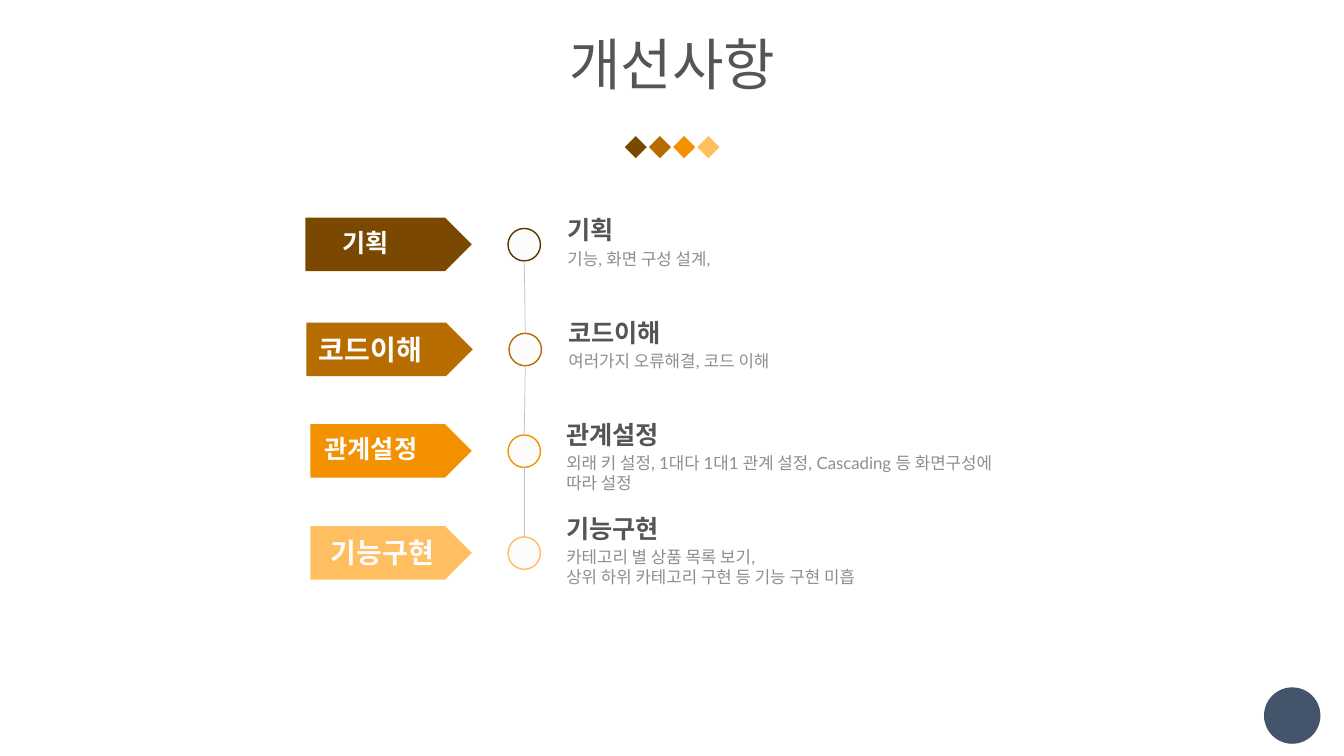
from dataclasses import dataclass

from pptx import Presentation
from pptx.dml.color import RGBColor
from pptx.enum.shapes import MSO_CONNECTOR, MSO_SHAPE
from pptx.enum.text import MSO_ANCHOR, PP_ALIGN
from pptx.oxml.ns import qn
from pptx.util import Pt

CENTER, LEFT = PP_ALIGN.CENTER, PP_ALIGN.LEFT
MIDDLE = MSO_ANCHOR.MIDDLE
OVAL, DIAMOND, PENTAGON = MSO_SHAPE.OVAL, MSO_SHAPE.DIAMOND, MSO_SHAPE.PENTAGON
STRAIGHT = MSO_CONNECTOR.STRAIGHT

FONT = "Lato"
DARK, GRAY, PALE, RULE, NAVY = "555555", "8E8E8E", "FCFCFC", "BFBFBF", "44546A"
SHADES = ["7A4800", "B76C00", "F49100", "FFBE5F"]
RING = 23.2


@dataclass
class Step:
    name: str
    details: list
    fill: str
    outline: str
    arrow: tuple
    label: tuple
    ring_left: float
    heading: tuple

    @property
    def ring_top(self):
        return self.arrow[1] + 7.7


STEPS = [
    Step("기획", ["기능, 화면 구성 설계,"], SHADES[0], "5A3500",
         (218.2, 155.5, 118.8), (215.3, 92.2, 18), 362.9, (398.2, 149.8)),
    Step("코드이해", ["여러가지 오류해결, 코드 이해"], SHADES[1], SHADES[1],
         (218.9, 230.4, 118.8), (193, 143.3, 20), 363.6, (398.9, 223.2)),
    Step("관계설정", ["외래 키 설정, 1대다 1대1 관계 설정, Cascading 등 화면구성에 따라 설정"],
         SHADES[2], SHADES[2],
         (221.8, 303, 115.2), (218.9, 92.2, 18), 362.9, (397.4, 295.9)),
    Step("기능구현", ["카테고리 별 상품 목록 보기,", "상위 하위 카테고리 구현 등 기능 구현 미흡"],
         SHADES[3], SHADES[3],
         (221.8, 375.8, 115.2), (219.6, 107.3, 20), 362.9, (397.4, 362.9)),
]


def color(value):
    return RGBColor.from_string(value)


class Canvas:
    """Holds the slide and draws styled elements measured in points."""

    def __init__(self, slide):
        self.slide = slide

    def fill_text(self, frame, lines, size, ink, bold=False, align=LEFT):
        frame.word_wrap = True
        frame.text = "\n".join(lines)
        for paragraph in frame.paragraphs:
            paragraph.alignment = align
            font = paragraph.font
            font.name, font.size, font.bold = FONT, Pt(size), bold
            font.color.rgb = color(ink)

    def title(self, text, left, top, width, height):
        title = self.slide.shapes.title
        title.left, title.top = Pt(left), Pt(top)
        title.width, title.height = Pt(width), Pt(height)
        title.text_frame.vertical_anchor = MIDDLE
        self.fill_text(title.text_frame, [text], 40, DARK, align=CENTER)
        title.text_frame.paragraphs[0].line_spacing = 0.9

    def text(self, lines, left, top, width, height, size, ink, bold=False, align=LEFT):
        box = self.slide.shapes.add_textbox(Pt(left), Pt(top), Pt(width), Pt(height))
        self.fill_text(box.text_frame, lines, size, ink, bold, align)

    def shape(self, kind, left, top, width, height, fill, outline=None):
        shape = self.slide.shapes.add_shape(kind, Pt(left), Pt(top), Pt(width), Pt(height))
        shape.shadow.inherit = False
        shape.fill.solid()
        shape.fill.fore_color.rgb = color(fill)
        if outline:
            shape.line.color.rgb = color(outline)
            shape.line.width = Pt(1)
        else:
            shape.line.fill.background()

    def line(self, x1, y1, x2, y2):
        line = self.slide.shapes.add_connector(STRAIGHT, Pt(x1), Pt(y1), Pt(x2), Pt(y2))
        line.line.color.rgb = color(RULE)
        line.line.width = Pt(0.5)
        properties = line._element.spPr
        properties.append(properties.makeelement(qn("a:effectLst"), {}))

    def step(self, step):
        left, top, width = step.arrow
        label_left, label_width, label_size = step.label
        heading_left, heading_top = step.heading
        self.shape(OVAL, step.ring_left, step.ring_top, RING, RING, PALE, step.outline)
        self.shape(PENTAGON, left, top, width, 38.2, step.fill)
        self.text([step.name], label_left, top + 3.2, label_width, label_size * 1.6,
                  label_size, PALE, True, CENTER)
        self.text([step.name], heading_left, heading_top, 111, 29, 18, DARK, True)
        self.text(step.details, heading_left, heading_top + 24, 320, 22, 12, GRAY)


def main():
    presentation = Presentation()
    presentation.slide_width, presentation.slide_height = Pt(960), Pt(540)
    canvas = Canvas(presentation.slides.add_slide(presentation.slide_layouts[5]))
    canvas.title("개선사항", 141.1, 16.6, 678.2, 63.4)
    canvas.shape(OVAL, 902.9, 491, 40.3, 40.3, NAVY)
    for index, shade in enumerate(SHADES):
        canvas.shape(DIAMOND, 446.2 + 17.3 * index, 97.2, 15.8, 15.8, shade)
    for step in STEPS:
        canvas.step(step)
    for upper, lower in zip(STEPS, STEPS[1:]):
        canvas.line(upper.ring_left + RING / 2, upper.ring_top + RING,
                    lower.ring_left + RING / 2, lower.ring_top)
    presentation.save("out.pptx")


if __name__ == "__main__":
    main()
